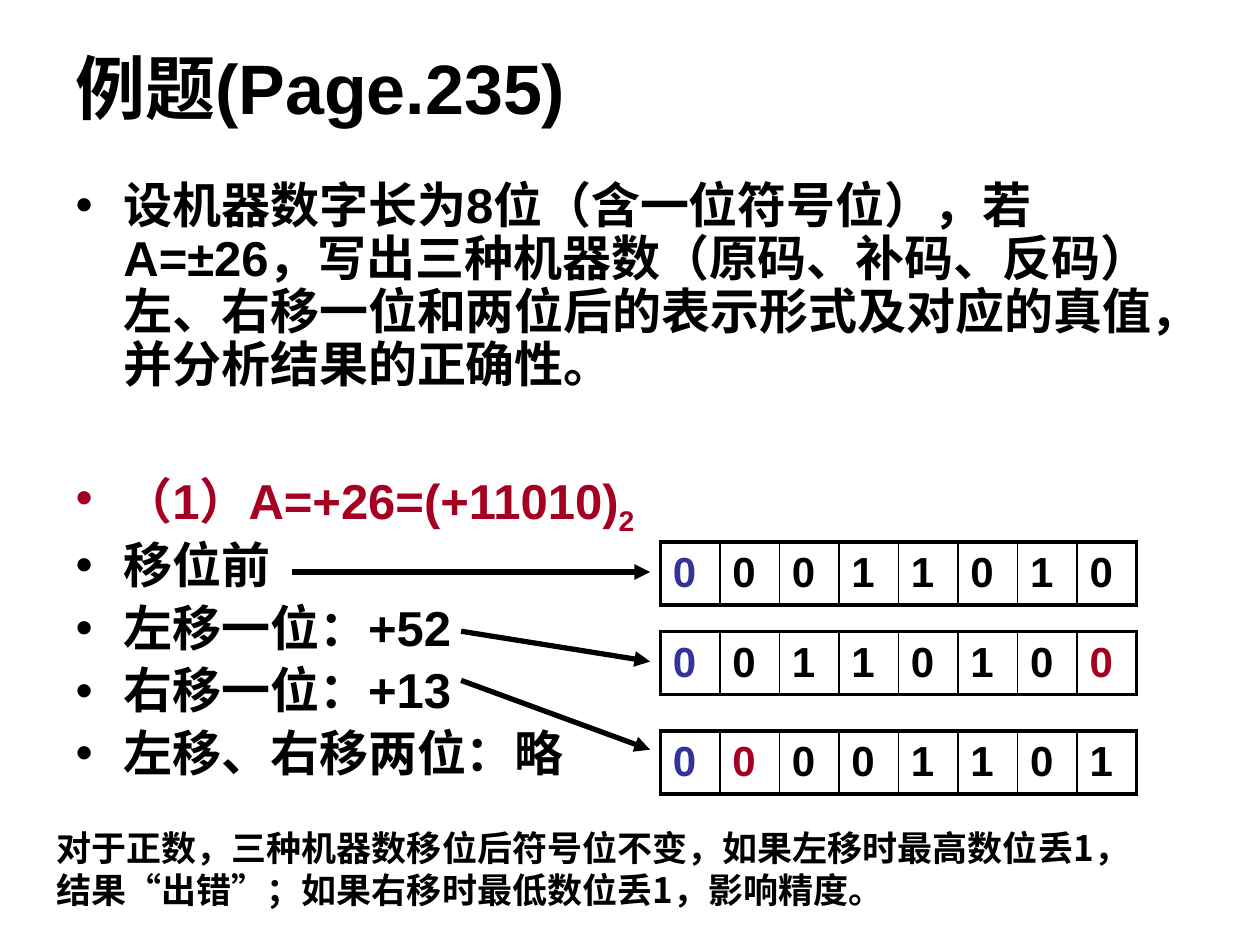
from pptx import Presentation
from pptx.dml.color import RGBColor
from pptx.enum.shapes import MSO_CONNECTOR
from pptx.enum.text import MSO_ANCHOR, MSO_AUTO_SIZE, PP_ALIGN
from pptx.oxml.ns import qn
from pptx.util import Inches, Pt
from lxml.etree import SubElement

BLACK = RGBColor(0x00, 0x00, 0x00)
RED = RGBColor(0xA5, 0x00, 0x21)
BLUE = RGBColor(0x33, 0x33, 0x99)
LATIN_FONT = "Arial"
CHINESE_FONT = "Noto Sans CJK SC"
BIT_WIDTH, REGISTER_HEIGHT = 0.4725, 0.5

TITLE = "例题(Page.235)"
PROBLEM = (
    "设机器数字长为8位（含一位符号位），若A=±26，写出三种机器数"
    "（原码、补码、反码）左、右移一位和两位后的表示形式及对应的真值，"
    "并分析结果的正确性。"
)
CASE = "（1）A=+26=(+11010)"
SHIFTS = ["移位前", "左移一位：+52", "右移一位：+13", "左移、右移两位：略"]
CONCLUSION = (
    "对于正数，三种机器数移位后符号位不变，如果左移时最高数位丢1，"
    "结果“出错”；如果右移时最低数位丢1，影响精度。"
)
# top, bits, position of the bit shifted in
REGISTERS = [(4.3, "00011010", None), (5.01, "00110100", 7), (5.8, "00001101", 1)]
ARROWS = [(2.32, 4.54, 4.54), (3.66, 5.01, 5.25), (3.66, 5.4, 5.95)]
ARROW_END = 5.16


def place(shape, left, top, width, height):
    """Set the position and size of a shape in inches."""
    shape.left, shape.top = Inches(left), Inches(top)
    shape.width, shape.height = Inches(width), Inches(height)


def style_run(run, size, color=BLACK, latin=LATIN_FONT):
    """Format a run as bold text with Latin and Chinese fonts."""
    run.font.size = Pt(size)
    run.font.bold = True
    run.font.name = latin
    run.font.color.rgb = color
    SubElement(run.font._element, qn("a:ea"), typeface=CHINESE_FONT)


def add_title(slide):
    """Fill the title placeholder."""
    title = slide.shapes.title
    place(title, 0.5, 0.3, 9, 0.77)
    frame = title.text_frame
    frame.text = TITLE
    frame.auto_size = MSO_AUTO_SIZE.NONE
    frame.vertical_anchor = MSO_ANCHOR.MIDDLE
    heading = frame.paragraphs[0]
    heading.alignment = PP_ALIGN.LEFT
    style_run(heading.runs[0], 40)


def format_bullet(paragraph, space_before):
    """Give a paragraph a hanging bullet and tight line spacing."""
    properties = paragraph._p.get_or_add_pPr()
    properties.set("marL", str(Inches(0.38)))
    properties.set("indent", str(-Inches(0.38)))
    SubElement(properties, qn("a:buChar"), char="•")
    paragraph.line_spacing = 0.9
    paragraph.space_before = Pt(space_before)


def add_problem(slide):
    """Fill the body placeholder with the problem and its shifts."""
    body = slide.placeholders[1]
    place(body, 0.5, 1.39, 9, 5.31)
    frame = body.text_frame
    frame.text = "\n".join([PROBLEM, CASE] + SHIFTS)
    frame.auto_size = MSO_AUTO_SIZE.NONE
    gaps = [0, 44.5] + [5.6] * len(SHIFTS)
    for paragraph, gap in zip(frame.paragraphs, gaps):
        format_bullet(paragraph, gap)
        style_run(paragraph.runs[0], 28, RED if paragraph.text == CASE else BLACK)
    radix = frame.paragraphs[1].add_run()
    radix.text = "2"
    style_run(radix, 28, RED)
    radix.font._element.set("baseline", "-25000")


def set_border(cell, side, width):
    """Draw one black edge of a cell."""
    edge = SubElement(cell._tc.get_or_add_tcPr(), qn(f"a:{side}"), w=str(Pt(width)))
    fill = SubElement(edge, qn("a:solidFill"))
    SubElement(fill, qn("a:srgbClr"), val=str(BLACK))


def add_register(slide, top, bits, shifted_in):
    """Add a one-row table that shows the bits of a register."""
    last = len(bits) - 1
    table = slide.shapes.add_table(
        1, len(bits), Inches(5.24), Inches(top),
        Inches(BIT_WIDTH * len(bits)), Inches(REGISTER_HEIGHT),
    ).table
    table.first_row = table.horz_banding = False
    for position, bit in enumerate(bits):
        table.columns[position].width = Inches(BIT_WIDTH)
        cell = table.cell(0, position)
        cell.text = bit
        cell.vertical_anchor = MSO_ANCHOR.MIDDLE
        color = BLUE if position == 0 else RED if position == shifted_in else BLACK
        style_run(cell.text_frame.paragraphs[0].runs[0], 24, color)
        set_border(cell, "lnL", 2.25 if position == 0 else 1)
        set_border(cell, "lnR", 2.25 if position == last else 1)
        set_border(cell, "lnT", 2.25)
        set_border(cell, "lnB", 2.25)
        cell.fill.background()


def add_arrow(slide, start, start_height, end_height):
    """Add an arrow from a shift to its register."""
    arrow = slide.shapes.add_connector(
        MSO_CONNECTOR.STRAIGHT, Inches(start), Inches(start_height),
        Inches(ARROW_END), Inches(end_height),
    )
    arrow.line.color.rgb = BLACK
    arrow.line.width = Pt(3)
    SubElement(arrow.line._get_or_add_ln(), qn("a:tailEnd"), type="triangle")
    SubElement(arrow._element.spPr, qn("a:effectLst"))


def add_conclusion(slide):
    """Add the closing remark below the registers."""
    remark = slide.shapes.add_textbox(
        Inches(0.35), Inches(6.51), Inches(8.9), Inches(0.77)
    )
    frame = remark.text_frame
    frame.text = CONCLUSION
    frame.word_wrap = True
    frame.auto_size = MSO_AUTO_SIZE.SHAPE_TO_FIT_TEXT
    frame.vertical_anchor = MSO_ANCHOR.MIDDLE
    style_run(frame.paragraphs[0].runs[0], 20, latin=CHINESE_FONT)


def main():
    """Build the slide and save it."""
    presentation = Presentation()
    presentation.slide_width, presentation.slide_height = Inches(10), Inches(7.5)
    slide = presentation.slides.add_slide(presentation.slide_layouts[1])
    add_title(slide)
    add_problem(slide)
    for top, bits, shifted_in in REGISTERS:
        add_register(slide, top, bits, shifted_in)
    for start, start_height, end_height in ARROWS:
        add_arrow(slide, start, start_height, end_height)
    add_conclusion(slide)
    presentation.save("out.pptx")


if __name__ == "__main__":
    main()
